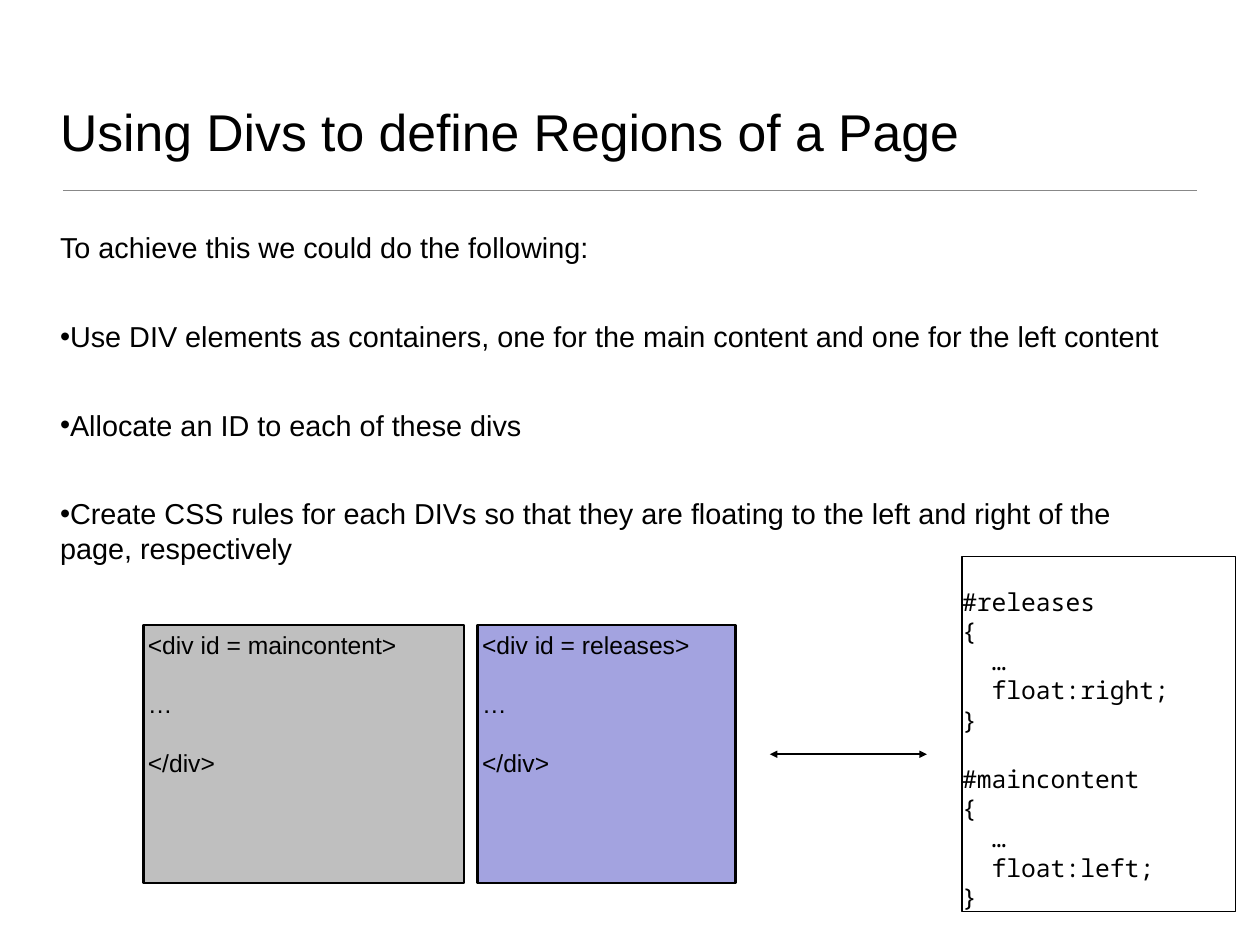
import pptx
import pptx.util
import pptx.dml.color
import pptx.enum.shapes
import pptx.enum.text
import pptx.oxml
import pptx.oxml.ns

Cm, Pt = pptx.util.Cm, pptx.util.Pt
COLOURS = {"text": "000000", "rule": "888888", "main": "BFBFBF",
           "releases": "A3A3E0", "code": "FFFFFF"}
SANS, MONO = "Arial", "Noto Sans Mono"
LINE_PITCH = Pt(24)
BULLETS = [
    "Use DIV elements as containers, one for the main content and one for the left content",
    "Allocate an ID to each of these divs",
    "Create CSS rules for each DIVs so that they are floating to the left and right of the page, respectively",
]


def rgb(name):
    """Return the named colour."""
    return pptx.dml.color.RGBColor.from_string(COLOURS[name])


def add_xml(parent, tag, **attrs):
    """Append a DrawingML element to the parent."""
    el = pptx.oxml.parse_xml(f"<a:{tag} {pptx.oxml.ns.nsdecls('a')}/>")
    for key, value in attrs.items():
        el.set(key, value)
    parent.append(el)


def place(sp, x, y, w, h):
    """Move and size a shape, in centimetres."""
    sp.left, sp.top, sp.width, sp.height = Cm(x), Cm(y), Cm(w), Cm(h)


def set_frame(tf, inset, anchor):
    """Set wrapping, margins and anchor of a text frame."""
    tf.word_wrap = True
    tf.auto_size = pptx.enum.text.MSO_AUTO_SIZE.NONE
    tf.margin_left = tf.margin_right = tf.margin_top = tf.margin_bottom = Cm(inset)
    tf.vertical_anchor = anchor


def set_paragraph(p, text, size, font=SANS):
    """Write a left-aligned paragraph in the given font."""
    p.text = text
    p.alignment = pptx.enum.text.PP_ALIGN.LEFT
    for r in p.runs:
        r.font.size, r.font.name = Pt(size), font
        r.font.color.rgb = rgb("text")


def next_paragraph(tf, i):
    """Return the first paragraph or add another."""
    return tf.add_paragraph() if i else tf.paragraphs[0]


def add_title(s, x, y, w, h):
    """Fill the title placeholder."""
    sp = s.shapes.title
    place(sp, x, y, w, h)
    set_frame(sp.text_frame, 0.15, pptx.enum.text.MSO_ANCHOR.BOTTOM)
    set_paragraph(sp.text_frame.paragraphs[0], "Using Divs to define Regions of a Page", 42)


def add_body(s, x, y, w, h):
    """Fill the body placeholder with an introduction and bullets."""
    sp = s.placeholders[1]
    place(sp, x, y, w, h)
    tf = sp.text_frame
    set_frame(tf, 0.15, pptx.enum.text.MSO_ANCHOR.TOP)
    for i, text in enumerate(["To achieve this we could do the following:"] + BULLETS):
        p = next_paragraph(tf, i)
        set_paragraph(p, text, 23.4)
        p.space_before = Pt(44)
        pPr = p._p.get_or_add_pPr()
        pPr.set("marL", "0")
        pPr.set("indent", "0")
        if i:
            add_xml(pPr, "buChar", char="•")
        else:
            add_xml(pPr, "buNone")


def add_box(s, x, y, w, h, fill, line_width):
    """Add an outlined rectangle."""
    sp = s.shapes.add_shape(pptx.enum.shapes.MSO_SHAPE.RECTANGLE, Cm(x), Cm(y), Cm(w), Cm(h))
    sp.shadow.inherit = False
    sp.fill.solid()
    sp.fill.fore_color.rgb = rgb(fill)
    sp.line.color.rgb = rgb("text")
    sp.line.width = Pt(line_width)
    return sp


def add_div(s, x, y, w, h, name, fill):
    """Add a page region with its div markup."""
    tf = add_box(s, x, y, w, h, fill, 2).text_frame
    set_frame(tf, 0.13, pptx.enum.text.MSO_ANCHOR.TOP)
    for i, text in enumerate([f"<div id = {name}>", "…", "</div>"]):
        p = next_paragraph(tf, i)
        set_paragraph(p, text, 20)
        p.line_spacing = LINE_PITCH
        p.space_before = LINE_PITCH if i else Pt(0)


def add_css(s, x, y, w, h, rules):
    """Add the box of CSS rules, one per div."""
    tf = add_box(s, x, y, w, h, "code", 1).text_frame
    set_frame(tf, 0, pptx.enum.text.MSO_ANCHOR.BOTTOM)
    lines = [line for name, side in rules
             for line in (f"#{name}", "{", "…", f"float:{side};", "}")]
    for i, text in enumerate(lines):
        p = next_paragraph(tf, i)
        set_paragraph(p, text, 20, MONO)
        p.line_spacing = LINE_PITCH
        if i and text.startswith("#"):
            p.space_before = LINE_PITCH
        if text == "…" or text.startswith("float"):
            p._p.get_or_add_pPr().set("marL", str(Pt(24)))


def add_line(s, x1, x2, y, colour, width, arrows=False):
    """Add a horizontal line, with arrowheads if asked."""
    cn = s.shapes.add_connector(pptx.enum.shapes.MSO_CONNECTOR.STRAIGHT, Cm(x1), Cm(y), Cm(x2), Cm(y))
    cn.line.color.rgb = rgb(colour)
    cn.line.width = Pt(width)
    if arrows:
        ln = cn.line._get_or_add_ln()
        add_xml(ln, "headEnd", type="triangle")
        add_xml(ln, "tailEnd", type="triangle")
    add_xml(cn._element.spPr, "effectLst")


def main():
    """Build the slide and save it."""
    prs = pptx.Presentation()
    prs.slide_width, prs.slide_height = Cm(36.12), Cm(27.1)
    s = prs.slides.add_slide(prs.slide_layouts[1])
    add_line(s, 1.8, 34.32, 5.46, "rule", 1)
    add_title(s, 1.57, 0.91, 32.94, 3.89)
    add_body(s, 1.57, 6.45, 32.16, 10.77)
    add_div(s, 4.11, 17.93, 9.19, 7.39, "maincontent", "main")
    add_div(s, 13.69, 17.93, 7.39, 7.39, "releases", "releases")
    add_css(s, 27.58, 15.95, 7.85, 10.19, [("releases", "right"), ("maincontent", "left")])
    add_line(s, 22.07, 26.57, 21.63, "text", 2, arrows=True)
    prs.save("out.pptx")


if __name__ == "__main__":
    main()
